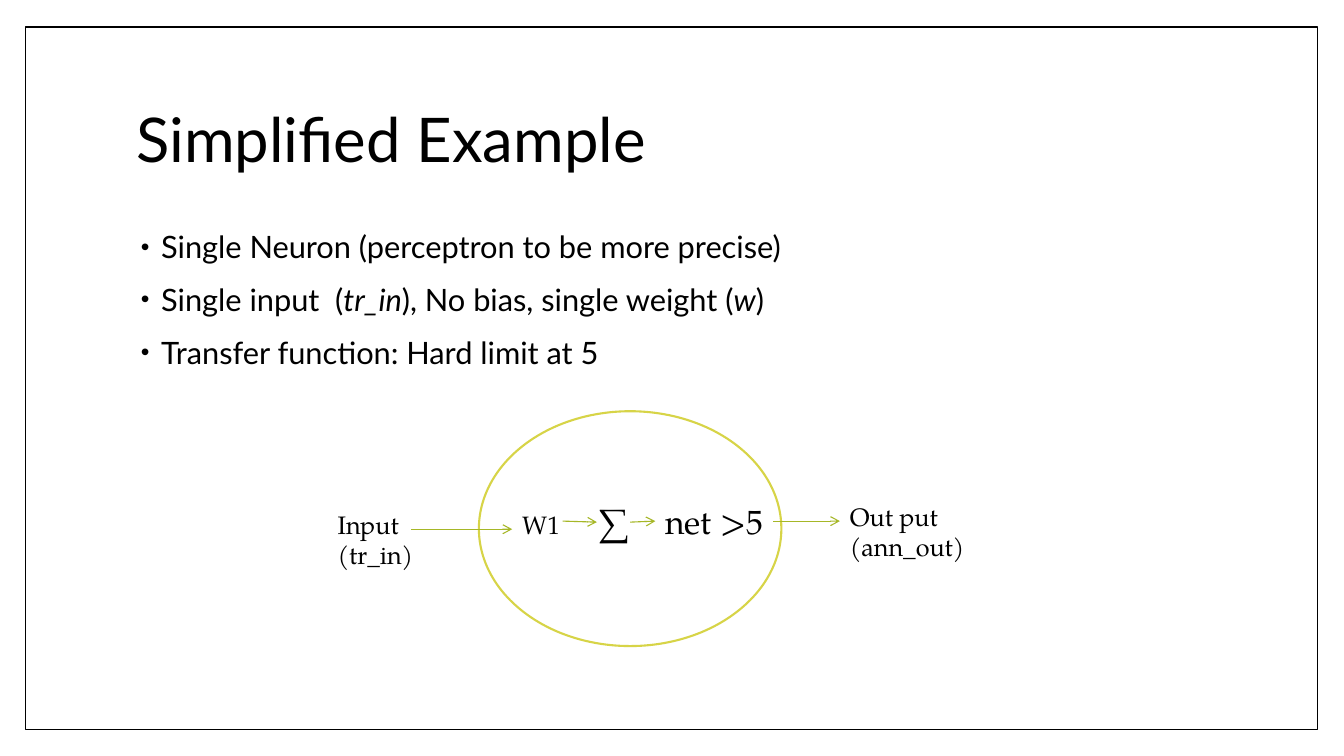
"""Build the slide that shows a simplified single-neuron example."""
import pptx
import pptx.util
import pptx.dml.color
import pptx.enum.shapes
import pptx.enum.text
import lxml.etree

Inches, Pt = pptx.util.Inches, pptx.util.Pt
SHAPE = pptx.enum.shapes.MSO_SHAPE
COLOURS = {"text": "000000", "paper": "FFFFFF", "neuron": "D7D447", "arrow": "A6B727"}
BODY_FONT, DIAGRAM_FONT = "Lato", "TeX Gyre Pagella"


def rgb(name):
    return pptx.dml.color.RGBColor.from_string(COLOURS[name])


def write(p, text, size=18, font=DIAGRAM_FONT, spacing=None, before=None):
    """Write text into a paragraph; asterisks enclose italics, newlines break lines."""
    p.alignment = pptx.enum.text.PP_ALIGN.LEFT
    p.line_spacing = spacing
    p.space_before = before
    for i, line in enumerate(text.split("\n")):
        if i:
            p.add_line_break()
        for j, part in enumerate(line.split("*")):
            r = p.add_run()
            r.text = part
            r.font.size = Pt(size)
            r.font.name = font
            r.font.italic = j % 2 == 1
            r.font.color.rgb = rgb("text")


prs = pptx.Presentation()
prs.slide_width, prs.slide_height = Inches(13.33), Inches(7.5)
s = prs.slides.add_slide(prs.slide_layouts[5])

title = s.shapes.title
title.left, title.top = Inches(1.25), Inches(0.67)
title.width, title.height = Inches(10.8), Inches(1.48)
tf = title.text_frame
tf.auto_size = pptx.enum.text.MSO_AUTO_SIZE.NONE
tf.vertical_anchor = pptx.enum.text.MSO_ANCHOR.MIDDLE
write(tf.paragraphs[0], "Simplified Example", size=44, font=BODY_FONT, spacing=0.9)

outlines = [
    (SHAPE.RECTANGLE, 0.25, 0.27, 12.82, 6.97, "text", 1),
    (SHAPE.OVAL, 4.75, 4.08, 3, 2.33, "neuron", 1.5),
]
for kind, x, y, w, h, colour, weight in outlines:
    sp = s.shapes.add_shape(kind, Inches(x), Inches(y), Inches(w), Inches(h))
    sp.shadow.inherit = False
    sp.fill.solid()
    sp.fill.fore_color.rgb = rgb("paper")
    sp.line.color.rgb = rgb(colour)
    sp.line.width = Pt(weight)
    if kind == SHAPE.RECTANGLE:
        title.element.addprevious(sp.element)

body = s.shapes.add_textbox(Inches(1.25), Inches(2.25), Inches(10.8), Inches(4.42))
tf = body.text_frame
tf.word_wrap = True
bullets = [
    "Single Neuron (perceptron to be more precise) ",
    "Single input  (*tr_in*), No bias, single weight (*w*)",
    "Transfer function: Hard limit at 5",
]
for i, text in enumerate(bullets):
    p = tf.add_paragraph() if i else tf.paragraphs[0]
    write(p, text, size=22, font=BODY_FONT, spacing=0.9, before=Pt(14))
    pPr = p._p.get_or_add_pPr()
    pPr.set("marL", str(Inches(0.25)))
    pPr.set("indent", str(Inches(-0.2)))
    for tag, key, value in [("buSzPct", "val", "80000"), ("buFont", "typeface", "Arial"),
                            ("buChar", "char", "•")]:
        pPr.append(pptx.oxml.parse_xml(
            f'<a:{tag} xmlns:a="http://schemas.openxmlformats.org/drawingml/2006/main" '
            f'{key}="{value}"/>'))

labels = [
    ("∑", 5.83, 4.93, 0.42, 0.5, 24),
    ("net >5", 6.5, 4.92, 1.17, 0.5, 24),
    ("Input\n(tr_in) ", 3.25, 5, 1.25, 0.71, 18),
    ("Out put\n(ann_out) ", 8.33, 4.92, 1.42, 0.71, 18),
    ("W1", 5.08, 5, 0.58, 0.42, 18),
]
for text, x, y, w, h, size in labels:
    sp = s.shapes.add_textbox(Inches(x), Inches(y), Inches(w), Inches(h))
    sp.text_frame.word_wrap = True
    write(sp.text_frame.paragraphs[0], text, size=size)

arrows = [
    (4.08, 5.25, 5.08, 5.25),
    (5.58, 5.17, 5.92, 5.18),
    (6.25, 5.18, 6.5, 5.17),
    (7.67, 5.17, 8.33, 5.17),
]
for ends in arrows:
    arrow = s.shapes.add_connector(pptx.enum.shapes.MSO_CONNECTOR.STRAIGHT, *map(Inches, ends))
    arrow.line.color.rgb = rgb("arrow")
    arrow.line.width = Pt(0.79)
    ln = arrow.line._get_or_add_ln()
    lxml.etree.SubElement(ln, pptx.oxml.ns.qn("a:tailEnd"), type="arrow")
    lxml.etree.SubElement(arrow.element.spPr, pptx.oxml.ns.qn("a:effectLst"))

prs.save("out.pptx")
